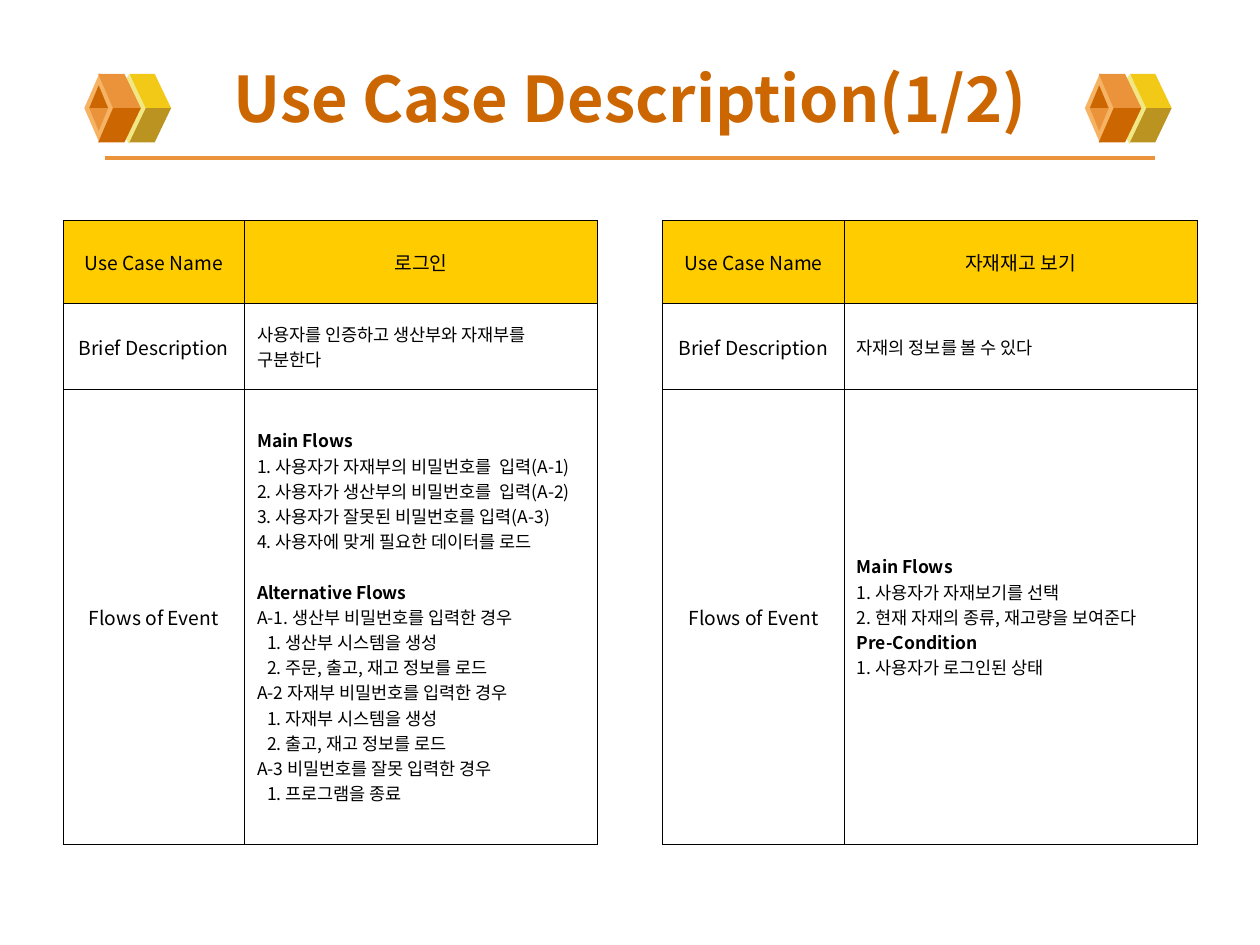
from lxml.etree import SubElement
from pptx import Presentation
from pptx.dml.color import RGBColor
from pptx.enum.shapes import MSO_CONNECTOR, MSO_SHAPE
from pptx.enum.text import MSO_ANCHOR, PP_ALIGN
from pptx.oxml import parse_xml
from pptx.oxml.ns import nsdecls, qn
from pptx.util import Cm, Pt

FONT = "Noto Sans CJK KR"
BLACK = RGBColor(0x00, 0x00, 0x00)
WHITE = RGBColor(0xFF, 0xFF, 0xFF)
OFF_WHITE = RGBColor(0xFE, 0xFE, 0xFE)
HEADER_YELLOW = RGBColor(0xFF, 0xCC, 0x00)
RUST = RGBColor(0xCC, 0x66, 0x00)
ORANGE = RGBColor(0xEB, 0x93, 0x3B)
PEACH = RGBColor(0xF5, 0xB3, 0x63)
CREAM = RGBColor(0xF1, 0xE7, 0x85)
GOLD = RGBColor(0xF3, 0xC9, 0x17)
OLIVE = RGBColor(0xBB, 0x93, 0x21)

LABELS = ["Use Case Name", "Brief Description", "Flows of Event"]
HEADINGS = {"Main Flows", "Alternative Flows", "Pre-Condition"}
LOGIN = [
    ["로그인"],
    ["사용자를 인증하고 생산부와 자재부를", "구분한다"],
    [
        "Main Flows",
        "1. 사용자가 자재부의 비밀번호를  입력(A-1)",
        "2. 사용자가 생산부의 비밀번호를  입력(A-2)",
        "3. 사용자가 잘못된 비밀번호를 입력(A-3)",
        "4. 사용자에 맞게 필요한 데이터를 로드",
        "Alternative Flows",
        "A-1. 생산부 비밀번호를 입력한 경우",
        " 1. 생산부 시스템을 생성",
        " 2. 주문, 출고, 재고 정보를 로드",
        "A-2 자재부 비밀번호를 입력한 경우",
        " 1. 자재부 시스템을 생성",
        " 2. 출고, 재고 정보를 로드",
        "A-3 비밀번호를 잘못 입력한 경우",
        " 1. 프로그램을 종료",
    ],
]
STOCK = [
    ["자재재고 보기"],
    ["자재의 정보를 볼 수 있다"],
    [
        "Main Flows",
        "1. 사용자가 자재보기를 선택",
        "2. 현재 자재의 종류, 재고량을 보여준다",
        "Pre-Condition",
        "1. 사용자가 로그인된 상태",
    ],
]


def write_text(paragraph, text, size=10, color=BLACK, bold=False,
               align=PP_ALIGN.LEFT, before=0, indent=0):
    paragraph.alignment = align
    paragraph.space_before = Pt(before)
    if indent:
        paragraph._p.get_or_add_pPr().set("marL", str(Cm(indent)))
    run = paragraph.add_run()
    run.text = text
    run.font.name = FONT
    run.font.size = Pt(size)
    run.font.bold = bold
    run.font.color.rgb = color
    SubElement(run._r.get_or_add_rPr(), qn("a:ea"), typeface=FONT)


class UseCaseSlide:
    def __init__(self, slide):
        self.slide = slide
        self.shapes = slide.shapes

    def background(self, top, bottom):
        fill = self.slide.background.fill
        fill.gradient()
        fill.gradient_angle = 270
        for stop, color in zip(fill.gradient_stops, (top, bottom)):
            stop.color.rgb = color

    def paint(self, shape, color):
        shape.shadow.inherit = False
        shape.fill.solid()
        shape.fill.fore_color.rgb = color
        shape.line.fill.background()

    def diamond(self, left, top, width, height, color):
        self.paint(self.shapes.add_shape(
            MSO_SHAPE.DIAMOND, Cm(left), Cm(top), Cm(width), Cm(height)), color)

    def polygon(self, points, color):
        corners = [(Cm(x), Cm(y)) for x, y in points]
        builder = self.shapes.build_freeform(*corners[0])
        builder.add_line_segments(corners[1:])
        self.paint(builder.convert_to_shape(), color)

    def rule(self, left, right, y):
        line = self.shapes.add_connector(
            MSO_CONNECTOR.STRAIGHT, Cm(left), Cm(y), Cm(right), Cm(y))
        line.line.color.rgb = ORANGE
        line.line.width = Pt(2.25)
        SubElement(line._element.spPr, qn("a:effectLst"))

    def cube_icon(self, left, top):
        middle = 0.7
        yellow_face = [(1.24, 0), (1.75, 0), (1.42, 0.69), (0.91, 0.69)]
        orange_face = [(0.58, 0), (1.14, 0), (0.81, 0.69), (0.28, 0.69)]
        hole = [(0.29, 0.46), (0.1, 0), (0.48, 0)]
        self.diamond(left + 0.48, top + 0.02, 0.84, 1.4, CREAM)
        for face, upper, lower in ((yellow_face, GOLD, OLIVE),
                                   (None, PEACH, PEACH),
                                   (orange_face, ORANGE, RUST),
                                   (hole, RUST, ORANGE)):
            if face is None:
                self.diamond(left, top, 0.61, 1.4, upper)
                continue
            for direction, color in ((-1, upper), (1, lower)):
                self.polygon([(left + x, top + middle + direction * y)
                              for x, y in face], color)

    def title(self, text):
        box = self.shapes.add_textbox(Cm(1.27), Cm(0.76), Cm(22.86), Cm(2.41))
        frame = box.text_frame
        frame.word_wrap = True
        frame.vertical_anchor = MSO_ANCHOR.MIDDLE
        write_text(frame.paragraphs[0], text, size=36, color=RUST, bold=True,
                   align=PP_ALIGN.CENTER)

    def borders(self, cell, sides):
        properties = cell._tc.get_or_add_tcPr()
        for position, side in enumerate("LRTB"):
            paint = (f'<a:solidFill><a:srgbClr val="{BLACK}"/></a:solidFill>'
                     if side in sides else "<a:noFill/>")
            properties.insert(position, parse_xml(
                f'<a:ln{side} {nsdecls("a")} w="{Pt(0.45)}">{paint}</a:ln{side}>'))

    def fill_cell(self, cell, lines, color, **text_format):
        cell.fill.solid()
        cell.fill.fore_color.rgb = color
        cell.vertical_anchor = MSO_ANCHOR.MIDDLE
        self.borders(cell, "LRTB")
        frame = cell.text_frame
        for index, line in enumerate(lines):
            paragraph = frame.add_paragraph() if index else frame.paragraphs[0]
            write_text(paragraph, line.strip(), bold=line in HEADINGS,
                       before=14.4 if line == "Alternative Flows" else 0,
                       indent=0.2 if line.startswith(" ") else 0, **text_format)

    def use_case_table(self, left, top, widths, heights, use_cases):
        table = self.shapes.add_table(
            len(heights), len(widths), Cm(left), Cm(top),
            Cm(sum(widths)), Cm(sum(heights))).table
        table.first_row = table.horz_banding = False
        for column, width in zip(table.columns, widths):
            column.width = Cm(width)
        for row, height in enumerate(heights):
            table.rows[row].height = Cm(height)
            color = WHITE if row else HEADER_YELLOW
            centred = {"size": 11, "align": PP_ALIGN.CENTER}
            for column, use_case in zip((0, 3), use_cases):
                self.fill_cell(table.cell(row, column), [LABELS[row]],
                               color, **centred)
                self.fill_cell(table.cell(row, column + 1), use_case[row],
                               color, **({} if row else centred))
            gap = table.cell(row, 2)
            gap.fill.background()
            self.borders(gap, "LR")


def main():
    presentation = Presentation()
    presentation.slide_width = Cm(25.4)
    presentation.slide_height = Cm(19.05)
    page = UseCaseSlide(
        presentation.slides.add_slide(presentation.slide_layouts[6]))
    page.background(WHITE, OFF_WHITE)
    page.rule(2.12, 23.28, 3.18)
    for icon_left in (1.7, 21.87):
        page.cube_icon(icon_left, 1.48)
    page.title("Use Case Description(1/2)")
    page.use_case_table(1.27, 4.44, [3.66, 7.11, 1.32, 3.66, 7.11],
                        [1.68, 1.73, 9.17], [LOGIN, STOCK])
    presentation.save("out.pptx")


if __name__ == "__main__":
    main()
